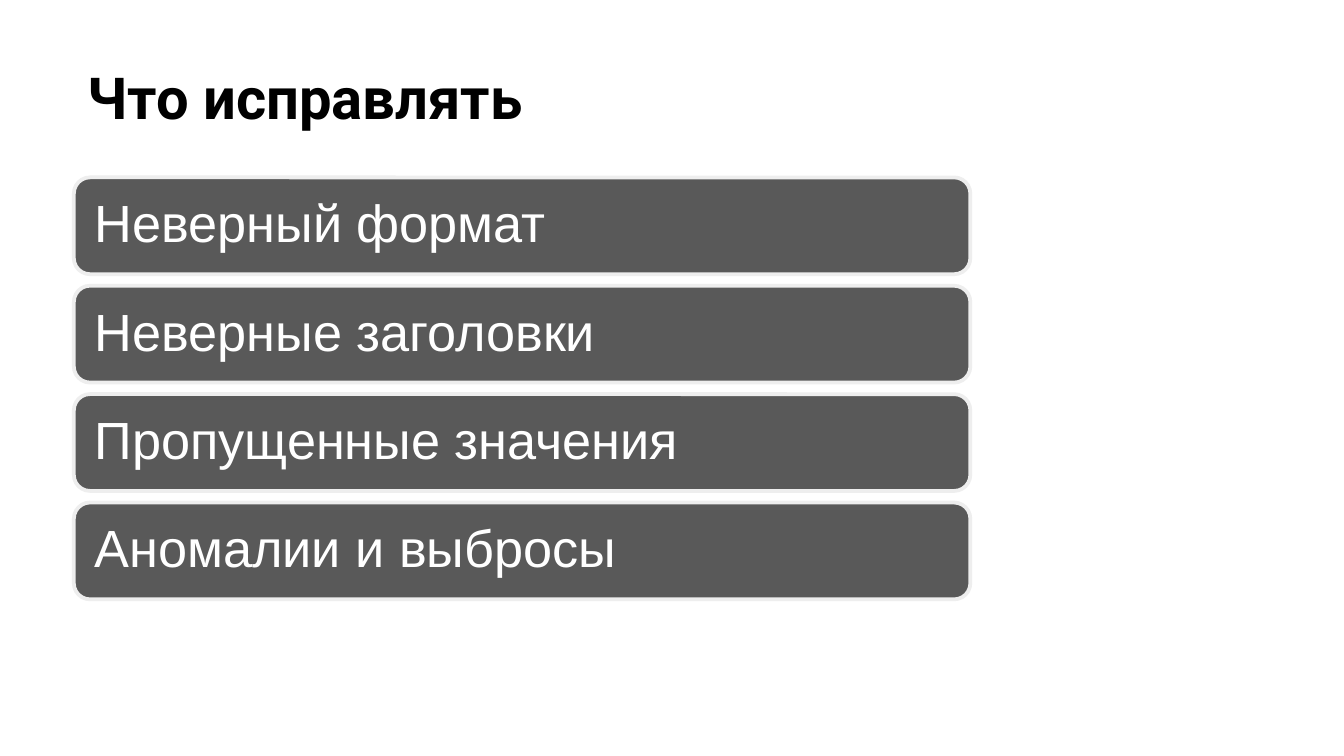
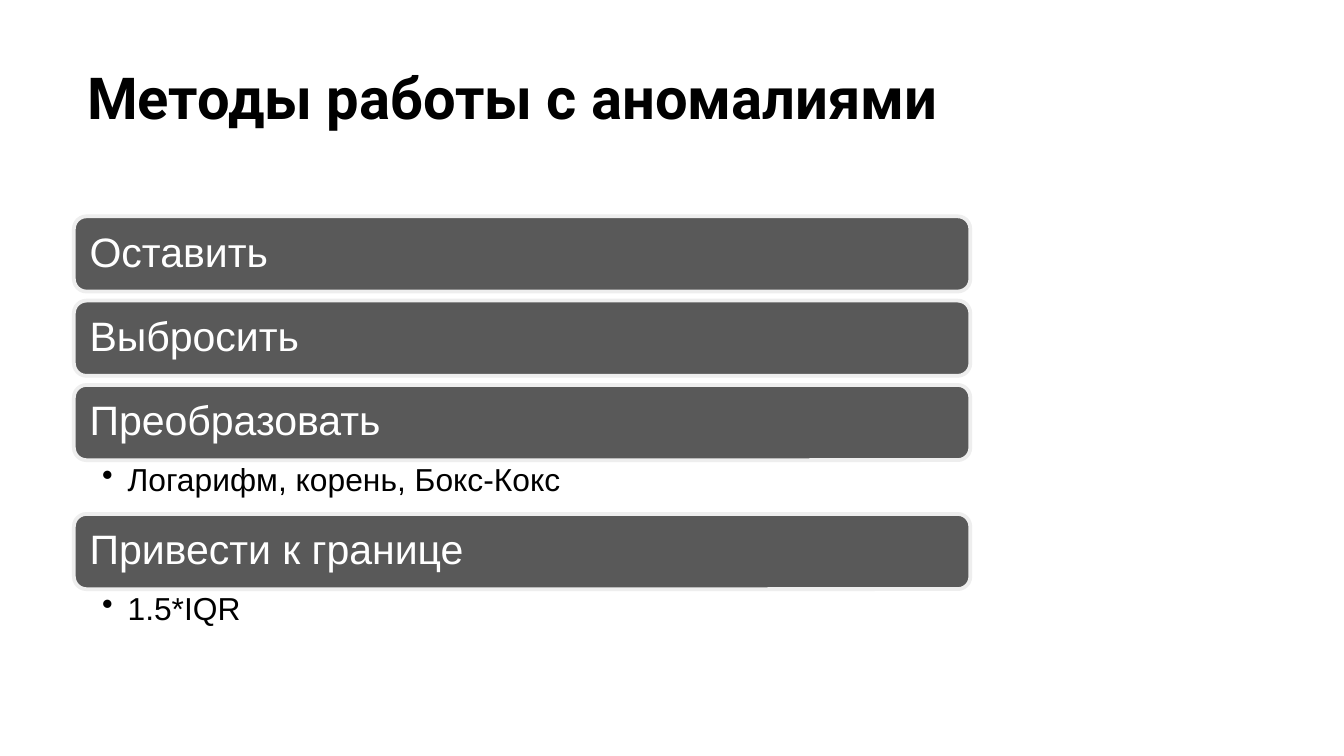
from dataclasses import dataclass

from lxml import etree
from pptx import Presentation
from pptx.dml.color import RGBColor
from pptx.enum.shapes import MSO_SHAPE
from pptx.enum.text import MSO_ANCHOR, MSO_AUTO_SIZE, PP_ALIGN
from pptx.oxml.ns import qn
from pptx.util import Inches, Pt

ROUNDED = MSO_SHAPE.ROUNDED_RECTANGLE
TOP, MIDDLE = MSO_ANCHOR.TOP, MSO_ANCHOR.MIDDLE
LEFT = PP_ALIGN.LEFT
NO_FIT = MSO_AUTO_SIZE.NONE
TITLE_ONLY = 5


@dataclass(frozen=True)
class Theme:
    title_font: str = "Roboto"
    body_font: str = "Arial"
    ink: str = "000000"
    bar: str = "595959"
    bar_edge: str = "EEEEEE"
    bar_text: str = "FFFFFF"
    title_size: int = 31
    note_size: int = 17
    edge_width: int = 2


@dataclass(frozen=True)
class BarStyle:
    top: float
    height: float
    inset: float
    size: int


THEME = Theme()
WIDTH, HEIGHT = Inches(10), Inches(5.625)
COLUMNS = 100
CELL = WIDTH // COLUMNS
MARGIN = 5.5
BAR_WIDTH = 66.7
GAP_SHARE = 0.12
NOTE_HEIGHT = 4
NOTE_INSETS = (2.1, 0.3, 1.7, 0.3)
NOTE_INDENT = 1.9

LARGE_BARS = BarStyle(top=13.2, height=7.2, inset=1.2, size=28)
SMALL_BARS = BarStyle(top=16.1, height=5.6, inset=0.9, size=22)

FIXES = [
    ("Неверный формат", None),
    ("Неверные заголовки", None),
    ("Пропущенные значения", None),
    ("Аномалии и выбросы", None),
]
METHODS = [
    ("Оставить", None),
    ("Выбросить", None),
    ("Преобразовать", "Логарифм, корень, Бокс-Кокс"),
    ("Привести к границе", "1.5*IQR"),
]


def grid(cells):
    return round(cells * CELL)


def apply(target, values):
    for name, value in values.items():
        setattr(target, name, value)


def set_frame(frame, insets, anchor):
    left, top, right, bottom = map(grid, insets)
    apply(frame, {
        "word_wrap": True, "auto_size": NO_FIT, "vertical_anchor": anchor,
        "margin_left": left, "margin_top": top,
        "margin_right": right, "margin_bottom": bottom,
    })


def set_text(para, text, font, size, color, bold=False):
    para.alignment = LEFT
    span = para.add_run()
    span.text = text
    apply(span.font, {"name": font, "size": Pt(size), "bold": bold})
    span.font.color.rgb = RGBColor.from_string(color)


def set_spacing(para, size, after_share):
    apply(para, {"line_spacing": 0.9, "space_after": Pt(round(size * after_share, 1))})


def add_bullet(para):
    props = para._p.get_or_add_pPr()
    props.set("marL", str(grid(NOTE_INDENT)))
    props.set("indent", str(-grid(NOTE_INDENT)))
    color = etree.SubElement(props, qn("a:buClr"))
    etree.SubElement(color, qn("a:srgbClr"), val=THEME.ink)
    etree.SubElement(props, qn("a:buChar"), char="•")


def add_page(deck, heading):
    page = deck.slides.add_slide(deck.slide_layouts[TITLE_ONLY])
    title = page.shapes.title
    apply(title, {
        "left": grid(MARGIN), "top": grid(3.6),
        "width": grid(93.2), "height": grid(12),
    })
    set_frame(title.text_frame, (1, 1, 1, 1), TOP)
    set_text(title.text_frame.paragraphs[0], heading, THEME.title_font,
             THEME.title_size, THEME.ink, bold=True)
    return page


def add_bar(page, text, top, style):
    bar = page.shapes.add_shape(
        ROUNDED, grid(MARGIN), grid(top), grid(BAR_WIDTH), grid(style.height))
    bar.shadow.inherit = False
    bar.fill.solid()
    bar.fill.fore_color.rgb = RGBColor.from_string(THEME.bar)
    bar.line.color.rgb = RGBColor.from_string(THEME.bar_edge)
    bar.line.width = Pt(THEME.edge_width)
    set_frame(bar.text_frame, (style.inset,) * 4, MIDDLE)
    para = bar.text_frame.paragraphs[0]
    set_spacing(para, style.size, 0.35)
    set_text(para, text, THEME.body_font, style.size, THEME.bar_text)


def add_note(page, text, top):
    box = page.shapes.add_textbox(
        grid(MARGIN), grid(top), grid(BAR_WIDTH), grid(NOTE_HEIGHT))
    set_frame(box.text_frame, NOTE_INSETS, TOP)
    para = box.text_frame.paragraphs[0]
    para.level = 1
    set_spacing(para, THEME.note_size, 0.2)
    add_bullet(para)
    set_text(para, text, THEME.body_font, THEME.note_size, THEME.ink)


def add_bar_list(page, items, style):
    top = style.top
    for text, note in items:
        add_bar(page, text, top, style)
        top += style.height
        if note:
            add_note(page, note, top)
            top += NOTE_HEIGHT
        else:
            top += style.height * GAP_SHARE


def main():
    deck = Presentation()
    apply(deck, {"slide_width": WIDTH, "slide_height": HEIGHT})
    add_bar_list(add_page(deck, "Что исправлять"), FIXES, LARGE_BARS)
    add_bar_list(add_page(deck, "Методы работы с аномалиями"), METHODS, SMALL_BARS)
    deck.save("out.pptx")


if __name__ == "__main__":
    main()
